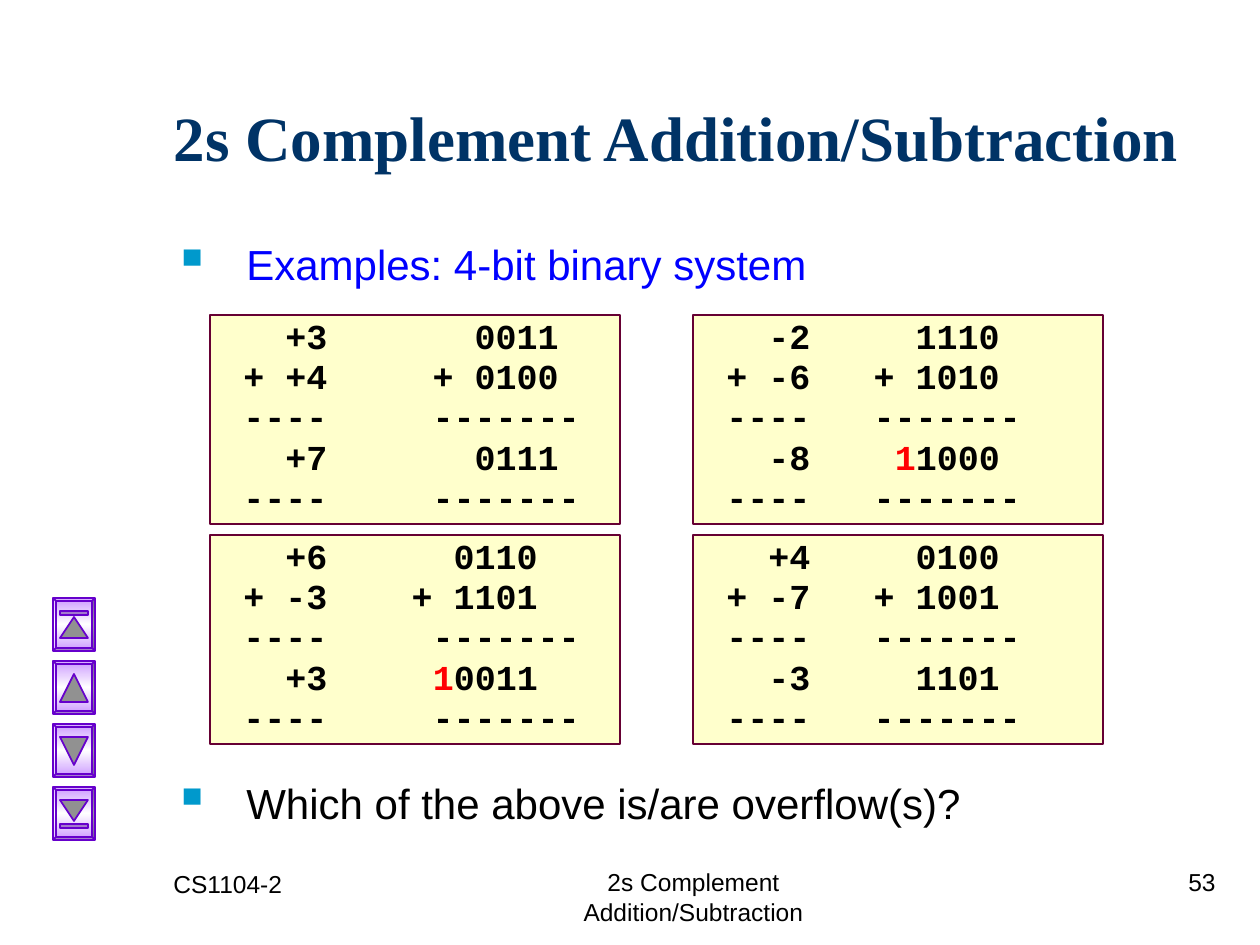
import pptx
import pptx.util
import pptx.dml.color
import pptx.enum.shapes
import pptx.enum.text
import copy
import lxml.etree

PX = 914400 // 126
Pt = pptx.util.Pt
Shape = pptx.enum.shapes.MSO_SHAPE
Align = pptx.enum.text.PP_ALIGN
Anchor = pptx.enum.text.MSO_ANCHOR


def color(code):
    return pptx.dml.color.RGBColor.from_string(code)


def style(run, name, size, code, bold=False):
    run.font.name = name
    run.font.size = Pt(size)
    run.font.bold = bold
    run.font.color.rgb = color(code)


deck = pptx.Presentation()
deck.slide_width = 1260 * PX
deck.slide_height = 945 * PX
slide = deck.slides.add_slide(deck.slide_layouts[5])
shapes = slide.shapes

# Title
title = shapes.title
title.left, title.top, title.width, title.height = [v * PX for v in (161, 63, 1071, 146)]
frame = title.text_frame
frame.text = "2s Complement Addition/Subtraction"
frame.word_wrap = True
frame.auto_size = pptx.enum.text.MSO_AUTO_SIZE.NONE
frame.vertical_anchor = Anchor.MIDDLE
frame.paragraphs[0].alignment = Align.LEFT
style(frame.paragraphs[0].runs[0], "Times New Roman", 36, "003366", True)

# Bulleted text above and below the examples
body = shapes.add_textbox(161 * PX, 242 * PX, 1071 * PX, 588 * PX).text_frame
body.word_wrap = True
body.text = "Examples: 4-bit binary system\nWhich of the above is/are overflow(s)?"
ns = "http://schemas.openxmlformats.org/drawingml/2006/main"
for para, code, gap in zip(body.paragraphs, ("0000FF", "000000"), (0, 285)):
    para.line_spacing = 0.8
    para.space_before = Pt(gap)
    props = para._p.get_or_add_pPr()
    props.set("marL", str(73 * PX))
    props.set("indent", str(-73 * PX))
    tint = lxml.etree.SubElement(props, f"{{{ns}}}buClr")
    lxml.etree.SubElement(tint, f"{{{ns}}}srgbClr", val="0099CC")
    lxml.etree.SubElement(props, f"{{{ns}}}buSzPct", val="120000")
    lxml.etree.SubElement(props, f"{{{ns}}}buChar", char="▪")
    style(para.runs[0], "Arial", 24, code)

# Navigation buttons: icon, triangle offset and height, bar offset
up, down = Shape.ISOSCELES_TRIANGLE, Shape.FLOWCHART_MERGE
buttons = [(up, 19, 21, 13), (up, 13, 28, None),
           (down, 13, 28, None), (down, 13, 21, 37)]
for row, (kind, drop, high, bar) in enumerate(buttons):
    top = 598 + 63 * row
    face = shapes.add_shape(Shape.BEVEL, 53 * PX, top * PX, 42 * PX, 53 * PX)
    face.adjustments[0] = 0.07
    face.fill.gradient()
    face.fill.gradient_angle = 90
    stops = face.fill.gradient_stops
    stops[0].color.rgb = stops[1].color.rgb = color("CC99FF")
    stops[0].position, stops[1].position = 0, 1
    first = face._element.spPr.find(f".//{{{ns}}}gs")
    first.addnext(copy.deepcopy(first))
    middle = face.fill.gradient_stops[1]
    middle.position = 0.5
    middle.color.rgb = color("FFFFFF")
    parts = [face, shapes.add_shape(kind, 60 * PX, (top + drop) * PX, 28 * PX, high * PX)]
    if bar:
        parts.append(shapes.add_shape(Shape.RECTANGLE, 60 * PX, (top + bar) * PX, 28 * PX, 4 * PX))
    for part in parts:
        part.shadow.inherit = False
        part.line.color.rgb = color("6600CC")
        part.line.width = Pt(1)
    for part in parts[1:]:
        part.fill.solid()
        part.fill.fore_color.rgb = color("919191")
    if bar:
        parts[2].fill.fore_color.rgb = color("A37ACC")

# Worked sums, two by two; a bar sets off the carried-out bit
sums = [
    ["   +3       0011", " + +4     + 0100", " ----     -------",
     "   +7       0111", " ----     -------"],
    ["   -2     1110", " + -6   + 1010", " ----   -------",
     "   -8    |1|1000", " ----   -------"],
    ["   +6      0110", " + -3    + 1101", " ----     -------",
     "   +3     |1|0011", " ----     -------"],
    ["   +4     0100", " + -7   + 1001", " ----   -------",
     "   -3     1101", " ----   -------"],
]
for spot, lines in enumerate(sums):
    row, col = divmod(spot, 2)
    box = shapes.add_shape(Shape.RECTANGLE, (210 + 483 * col) * PX,
                           (315 + 220 * row) * PX, 410 * PX, 209 * PX)
    box.shadow.inherit = False
    box.fill.solid()
    box.fill.fore_color.rgb = color("FFFFCC")
    box.line.color.rgb = color("660033")
    box.line.width = Pt(1)
    frame = box.text_frame
    frame.word_wrap = True
    frame.vertical_anchor = Anchor.TOP
    for i, line in enumerate(lines):
        para = frame.add_paragraph() if i else frame.paragraphs[0]
        para.alignment = Align.LEFT
        para.line_spacing = 0.85
        para.space_before = Pt(2.5 if i else 0)
        for j, piece in enumerate(line.split("|")):
            run = para.add_run()
            run.text = piece
            style(run, "Courier New", 20, "FF0000" if j == 1 else "000000", True)

# Footer
notes = [("2s Complement Addition/Subtraction", 494, 861, 399, Align.CENTER),
         ("53", 966, 861, 262, Align.RIGHT),
         ("CS1104-2", 161, 863, 262, Align.LEFT)]
for text, left, top, width, side in notes:
    frame = shapes.add_textbox(left * PX, top * PX, width * PX, 63 * PX).text_frame
    frame.word_wrap = True
    frame.text = text
    frame.paragraphs[0].alignment = side
    style(frame.paragraphs[0].runs[0], "Arial", 14, "000000")

deck.save("out.pptx")
